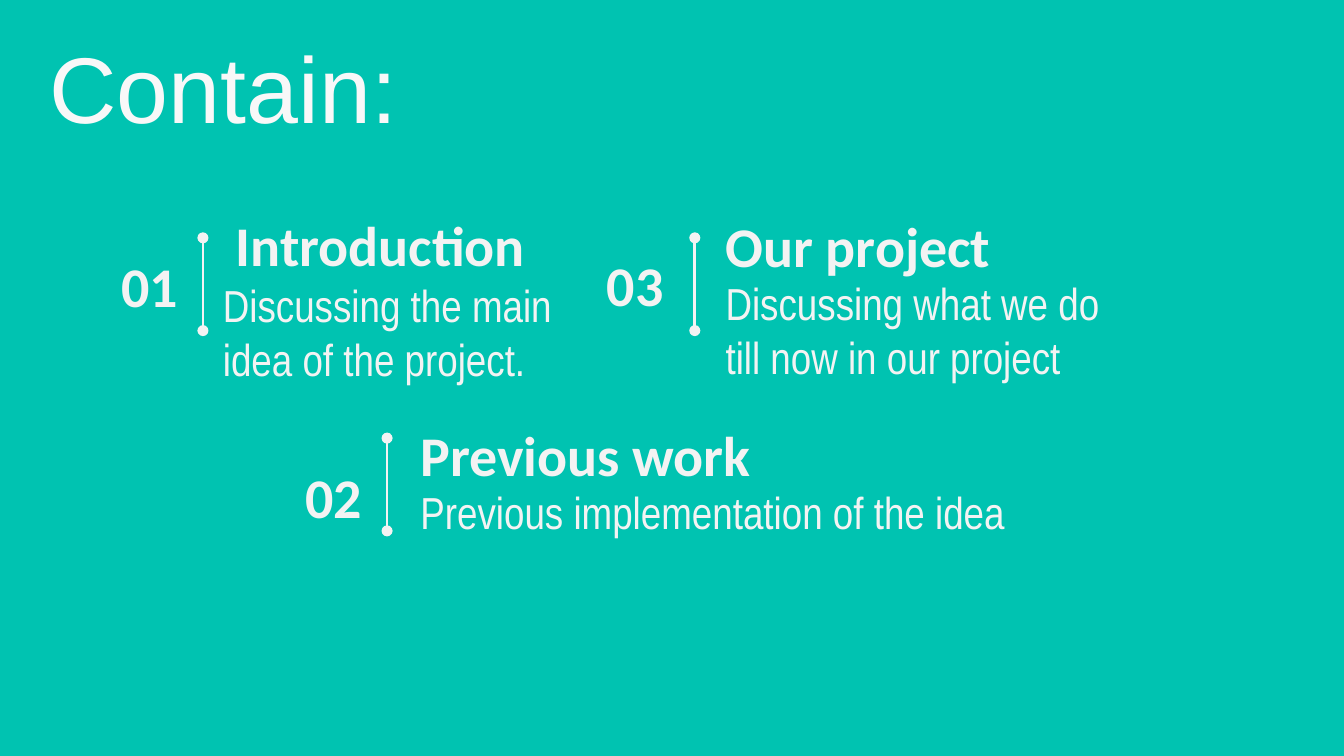
import pptx
import pptx.util
import pptx.dml.color
import pptx.enum.shapes
import pptx.enum.text
import pptx.oxml.ns
from lxml import etree
from dataclasses import dataclass

SCALE = 4572
ALIGN = pptx.enum.text.PP_ALIGN
ANCHOR = pptx.enum.text.MSO_ANCHOR


def px(num):
    return pptx.util.Emu(num * SCALE)


def rgb(code):
    return pptx.dml.color.RGBColor.from_string(code)


@dataclass(frozen=True)
class Theme:
    back: str = "00C3B1"
    ink: str = "F3F3F3"
    light: str = "F8F8F8"
    title: tuple = ("Arial", 50, False)
    head: tuple = ("Calibri", 30, True)
    body: tuple = ("Arial Narrow", 24, False)
    rule: float = 1.5


class Deck:
    """Draws the elements of a slide in one theme."""

    def __init__(self, theme, wide, high):
        self.theme = theme
        self.file = pptx.Presentation()
        self.file.slide_width, self.file.slide_height = px(wide), px(high)
        self.slide = self.file.slides.add_slide(self.file.slide_layouts[6])
        fill = self.slide.background.fill
        fill.solid()
        fill.fore_color.rgb = rgb(theme.back)

    def text(self, words, box, font, color, pad=20, anchor=ANCHOR.TOP, align=ALIGN.LEFT, after=0):
        frame = self.slide.shapes.add_textbox(*map(px, box)).text_frame
        frame.word_wrap = True
        frame.vertical_anchor = anchor
        frame.margin_left = frame.margin_right = px(20)
        frame.margin_top = frame.margin_bottom = px(pad)
        frame.text = words
        para = frame.paragraphs[0]
        para.alignment = align
        para.space_after = pptx.util.Pt(after)
        style = para.runs[0].font
        name, size, style.bold = font
        style.name, style.size = name, pptx.util.Pt(size)
        style.color.rgb = rgb(color)

    def title(self, words, box):
        self.text(words, box, self.theme.title, self.theme.light, pad=10)

    def head(self, words, box, align=ALIGN.LEFT):
        self.text(words, box, self.theme.head, self.theme.ink, anchor=ANCHOR.MIDDLE, align=align)

    def body(self, words, box):
        self.text(words, box, self.theme.body, self.theme.ink, after=16)

    def rule(self, left, top, high):
        kind = pptx.enum.shapes.MSO_CONNECTOR.STRAIGHT
        rule = self.slide.shapes.add_connector(kind, *map(px, (left, top, left, top + high)))
        rule.line.color.rgb = rgb(self.theme.ink)
        rule.line.width = pptx.util.Pt(self.theme.rule)
        qn = pptx.oxml.ns.qn
        line = rule.line._get_or_add_ln()
        for end in ("a:headEnd", "a:tailEnd"):
            etree.SubElement(line, qn(end), type="oval")
        etree.SubElement(rule._element.spPr, qn("a:effectLst"))

    def topic(self, num, spot, rule, head, place, body, box):
        self.head(head, place)
        self.body(body, box)
        self.head(num, (*spot, 132, 92), ALIGN.RIGHT)
        self.rule(*rule, 138)


TOPICS = [
    ("01", (153, 378), (302, 354), "Introduction", (331, 318, 512, 92),
     "Discussing the main idea of the project.", (312, 394, 590, 166)),
    ("02", (427, 692), (576, 652), "Previous work", (606, 630, 592, 92),
     "Previous implementation of the idea", (606, 701, 1042, 142)),
    ("03", (875, 377), (1034, 354), "Our project", (1060, 319, 512, 92),
     "Discussing what we do till now in our project", (1060, 390, 656, 142)),
]


def main():
    deck = Deck(Theme(), 2000, 1125)
    deck.title("Contain:", (54, 35, 638, 192))
    for topic in TOPICS:
        deck.topic(*topic)
    deck.file.save("out.pptx")


if __name__ == "__main__":
    main()
